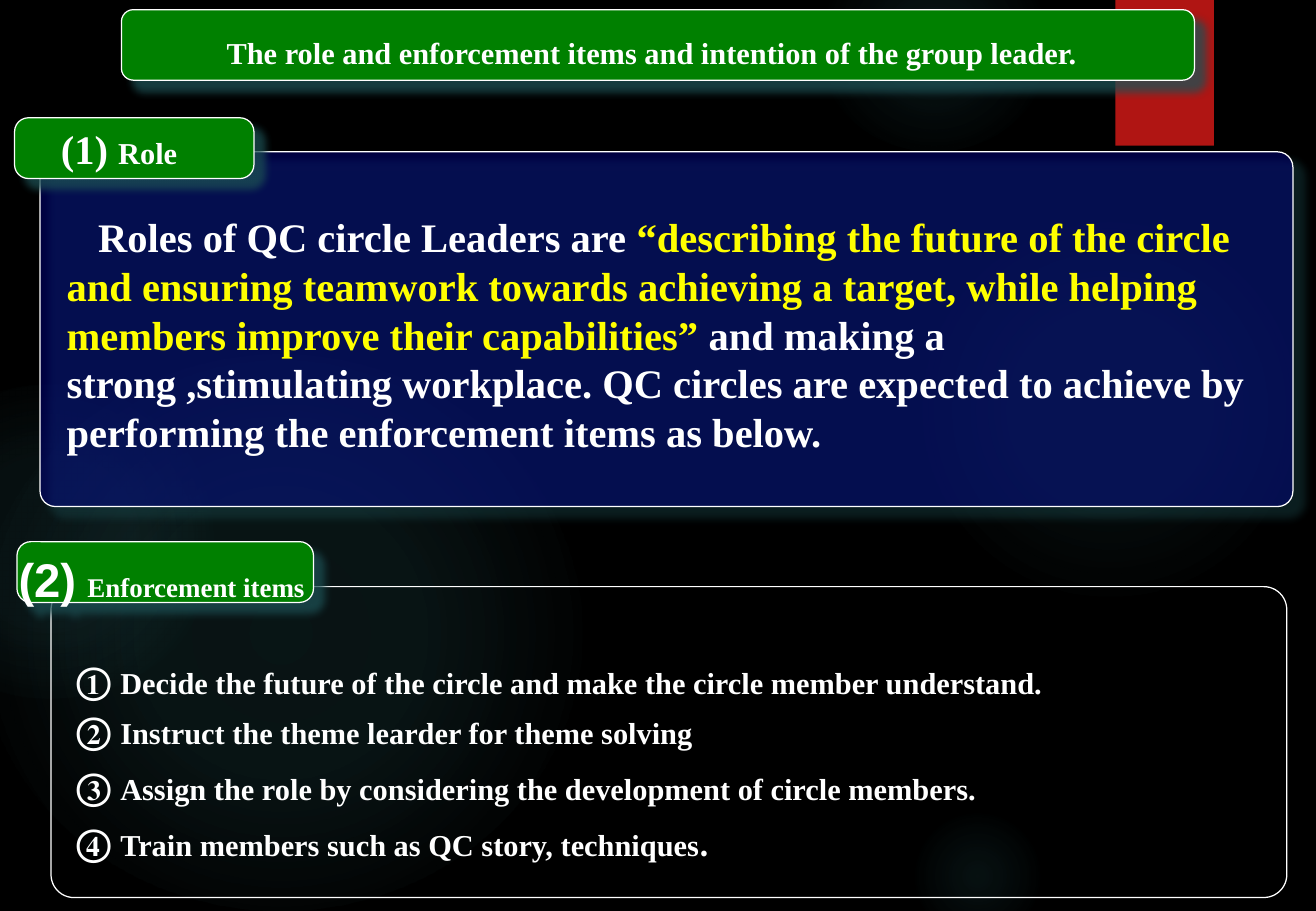
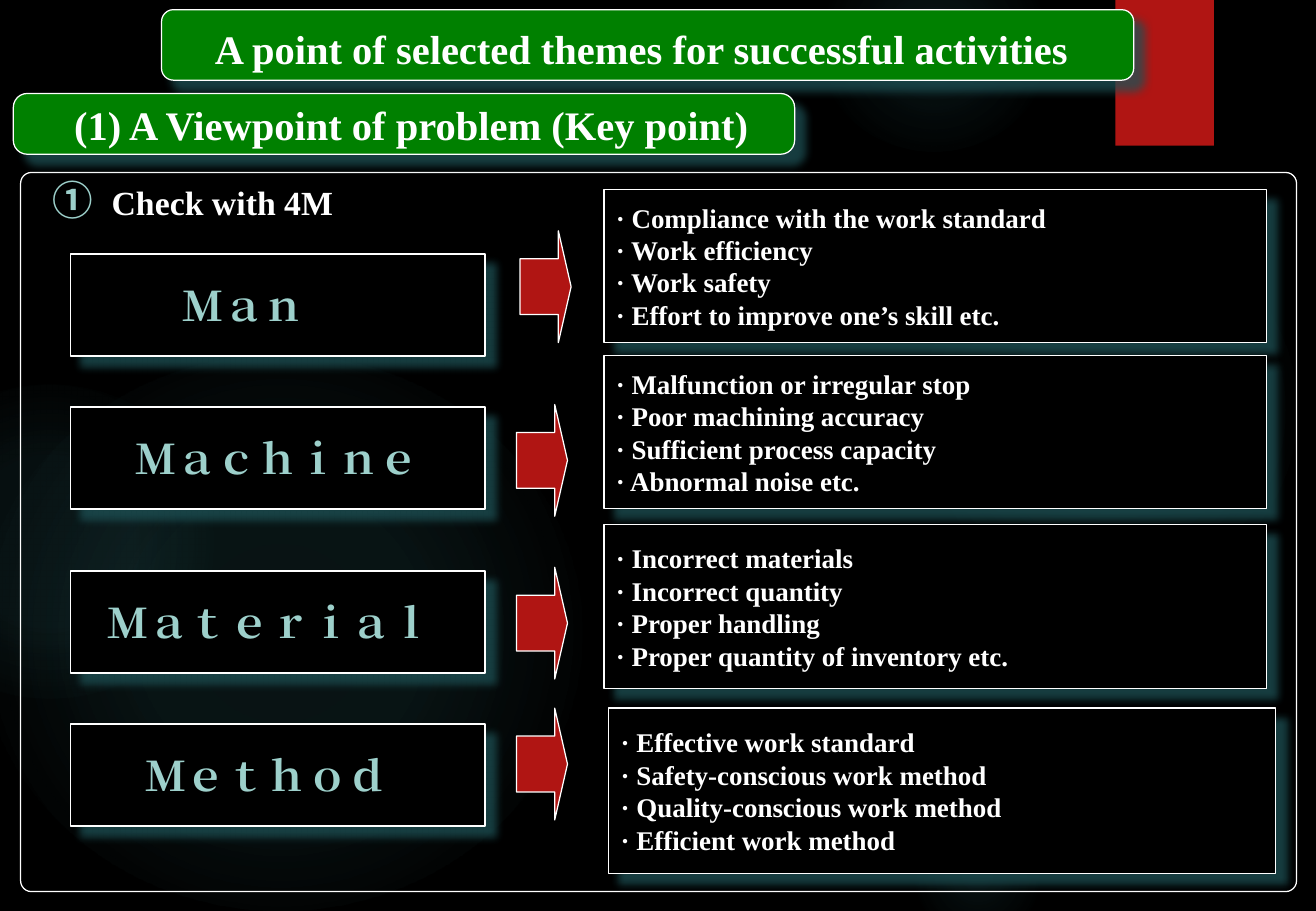
from lxml import etree
from pptx import Presentation
from pptx import util as u
from pptx.dml.color import RGBColor
from pptx.enum import shapes, text
from pptx.oxml import parse_xml
from pptx.oxml.ns import nsdecls, qn

C = {"black": "000000", "white": "FFFFFF", "green": "008000", "navy": "000080",
     "yellow": "FFFF00", "red": "B01513", "aqua": "9DD0CB", "glow": "50B9C1",
     "shadow": "1E5155"}
SERIF, SANS, CJK = "Times New Roman", "Arial", "Noto Sans CJK JP"
KIND = shapes.MSO_SHAPE
ALIGN = text.PP_ALIGN
ANCHOR = text.MSO_ANCHOR

# left, top, width, height, then (position %, opacity %) stops
GLOWS = [
    (7.46, 1.83, 3.34, 3.08, [(0, 7), (36, 6), (69, 0)]),
    (6.74, -0.5, 1.9, 1.75, [(0, 14), (36, 7), (73, 0)]),
    (7.46, 6.67, 1.17, 1.08, [(0, 9), (36, 5), (66, 0)]),
    (-0.18, 2.92, 4.97, 4.58, [(0, 11), (36, 10), (75, 0)]),
    (-0.99, 3.17, 2.8, 2.58, [(0, 8), (36, 8), (72, 0)]),
]


def add_box(s, kind, at, fill=None, line=0.75, adj=(), shadow=False):
    """Add a preset shape; line is its width in points, 0 for none."""
    sp = s.shapes.add_shape(kind, *map(u.Inches, at))
    for i, value in enumerate(adj):
        sp.adjustments[i] = value
    if fill:
        sp.fill.solid()
        sp.fill.fore_color.rgb = RGBColor.from_string(C[fill])
    else:
        sp.fill.background()
    if line:
        sp.line.color.rgb = RGBColor.from_string(C["white"])
        sp.line.width = u.Pt(line)
    else:
        sp.line.fill.background()
    sp.shadow.inherit = False
    if shadow:
        sp._element.spPr.find(qn("a:effectLst")).append(parse_xml(
            f'<a:outerShdw {nsdecls("a")} blurRad="{u.Pt(5)}" dist="{u.Pt(8.5)}" '
            f'dir="2700000" algn="tl" rotWithShape="0"><a:srgbClr val="{C["shadow"]}">'
            '<a:alpha val="75000"/></a:srgbClr></a:outerShdw>'))
    return sp


def write(sp, paras, align=ALIGN.LEFT, anchor=ANCHOR.MIDDLE,
          ins=(0.1, 0.05, 0.1, 0.05), wrap=True, pitch=None):
    """Write paragraphs of (text, size, colour, font) runs; pitch is points per line."""
    tf = sp.text_frame
    tf.word_wrap = wrap
    tf.vertical_anchor = anchor
    tf.margin_left, tf.margin_top, tf.margin_right, tf.margin_bottom = map(u.Inches, ins)
    for i, runs in enumerate(paras):
        p = tf.add_paragraph() if i else tf.paragraphs[0]
        p.alignment = align
        if pitch:
            p.line_spacing = u.Pt(pitch)
        for words, size, color, font in runs:
            r = p.add_run()
            r.text = words
            r.font.size = u.Pt(size)
            r.font.bold = True
            r.font.color.rgb = RGBColor.from_string(C[color])
            r.font.name = font
            etree.SubElement(r.font._element, qn("a:ea"), typeface=font)
    return tf


prs = Presentation()
prs.slide_width, prs.slide_height = u.Inches(10.83), u.Inches(7.5)
master_fill = prs.slide_master.background.fill
master_fill.solid()
master_fill.fore_color.rgb = RGBColor.from_string(C["black"])

# Backdrop and green title shared by both slides: left, width, text, size, top inset
TITLES = [
    (1, 8.83, "The role and enforcement items and intention of the group leader.", 18, 0.17),
    (1.33, 8, "A point of selected themes for successful activities", 24, 0.11),
]
slides = []
for left, width, title, size, top_inset in TITLES:
    s = prs.slides.add_slide(prs.slide_layouts[6])
    slides.append(s)
    for *at, stops in GLOWS:
        glow = add_box(s, KIND.OVAL, at, line=0)
        gs = "".join(f'<a:gs pos="{pos * 1000}"><a:srgbClr val="{C["glow"]}">'
                     f'<a:alpha val="{alpha * 1000}"/></a:srgbClr></a:gs>'
                     for pos, alpha in stops)
        spPr = glow._element.spPr
        spPr.replace(spPr.find(qn("a:noFill")), parse_xml(
            f'<a:gradFill {nsdecls("a")}><a:gsLst>{gs}</a:gsLst><a:path path="circle">'
            '<a:fillToRect l="50000" t="50000" r="50000" b="50000"/></a:path></a:gradFill>'))
    add_box(s, KIND.RECTANGLE, (9.18, 0, 0.81, 1.2), "red", line=0)
    banner = add_box(s, KIND.ROUNDED_RECTANGLE, (left, 0.08, width, 0.58), "green",
                     adj=[0.167], shadow=True)
    write(banner, [[(title, size, "white", SERIF)]], ALIGN.CENTER,
          ins=(0.1, top_inset, 0.2, 0.05), wrap=False)
role_slide, theme_slide = slides

# Panels behind the section labels
role_panel = add_box(role_slide, KIND.ROUNDED_RECTANGLE, (0.33, 1.25, 10.31, 2.92), "navy",
                     adj=[0.043], shadow=True)
navy = role_panel._element.spPr.find(qn("a:solidFill"))[0]
etree.SubElement(navy, qn("a:alpha"), val="50000")
add_box(role_slide, KIND.ROUNDED_RECTANGLE, (0.42, 4.83, 10.17, 2.56), adj=[0.074])
add_box(theme_slide, KIND.ROUNDED_RECTANGLE, (0.17, 1.42, 10.5, 5.92), adj=[0.015])

# Section labels: slide, left, top, width, insets, runs
LABELS = [
    (role_slide, 0.12, 0.97, 1.97, (0.04, 0.05, 0.29, 0.05),
     [("(1) ", 24, "white", SERIF), ("Role", 18, "white", SERIF)]),
    (role_slide, 0.14, 4.46, 2.44, (0, 0.1, 0.06, 0),
     [("(2)", 28, "white", SANS), (" ", 24, "white", SANS),
      ("Enforcement items", 16, "white", SERIF)]),
    (theme_slide, 0.11, 0.77, 6.43, (0.16, 0.05, 0.04, 0.05),
     [("(1) A Viewpoint of problem (Key point)", 24, "white", SERIF)]),
]
for s, left, top, width, ins, runs in LABELS:
    label = add_box(s, KIND.ROUNDED_RECTANGLE, (left, top, width, 0.5), "green",
                    adj=[0.229], shadow=True)
    write(label, [runs], ALIGN.CENTER, ins=ins, wrap=False)

# Slide 1: role statement and enforcement items
role = role_slide.shapes.add_textbox(*map(u.Inches, (0.45, 1.7, 9.96, 2.1)))
tf = write(role, [[
    ("Roles of QC circle Leaders are ", 24, "white", SERIF),
    ("“describing the future of the circle and ensuring teamwork towards achieving "
     "a target, while helping members improve their capabilities”", 24, "yellow", SERIF),
    (" and making a strong ,stimulating workplace. QC circles are expected to achieve by "
     "performing the enforcement items as below.", 24, "white", SERIF),
]], anchor=ANCHOR.TOP, pitch=28.8)
tf.paragraphs[0]._p.get_or_add_pPr().set("indent", str(u.Inches(0.26)))

ITEMS = [
    ("① ", "Decide the future of the circle and make the circle member understand."),
    ("② ", "Instruct the theme learder for theme solving"),
    ("③ ", "Assign the role by considering the development of circle members."),
    ("④ ", "Train members such as QC story, techniques"),
]
paras = [[(number, 22, "white", SERIF), (item, 18, "white", SERIF)] for number, item in ITEMS]
paras[-1].append((".", 18, "white", CJK))
items = role_slide.shapes.add_textbox(*map(u.Inches, (0.53, 5.31, 8.98, 1.9)))
tf = write(items, paras, anchor=ANCHOR.TOP, pitch=30)
for p in tf.paragraphs[2:]:
    p.space_before = u.Pt(3.2)

# Slide 2: the 4M check
check = theme_slide.shapes.add_textbox(*map(u.Inches, (0.33, 1.36, 4.08, 0.57)))
tf = write(check, [[("①\t", 24, "aqua", CJK), ("Check with 4M", 20, "white", SERIF)]])
tabs = etree.SubElement(tf.paragraphs[0]._p.get_or_add_pPr(), qn("a:tabLst"))
etree.SubElement(tabs, qn("a:tab"), pos=str(u.Inches(0.49)), algn="l")

# name, its top, its right inset, arrow left and top, points box, points
ROWS = [
    ("Ｍａｎ", 2.09, 0.66, 4.28, 1.9, (4.97, 1.56, 5.45, 1.26),
     ["Compliance with the work standard", "Work efficiency", "Work safety",
      "Effort to improve one’s skill etc."]),
    ("Ｍａｃｈｉｎｅ", 3.35, 0.1, 4.25, 3.33, (4.97, 2.93, 5.45, 1.26),
     ["Malfunction or irregular stop", "Poor machining accuracy",
      "Sufficient process capacity", "Abnormal noise etc."]),
    ("Ｍａｔｅｒｉａｌ", 4.7, 0.23, 4.25, 4.67, (4.97, 4.32, 5.45, 1.35),
     ["Incorrect materials", "Incorrect quantity", "Proper handling",
      "Proper quantity of inventory etc."]),
    ("Ｍｅｔｈｏｄ", 5.96, 0.28, 4.25, 5.83, (5.01, 5.83, 5.49, 1.36),
     ["Effective work standard", "Safety-conscious work method",
      "Quality-conscious work method", "Efficient work method"]),
]
for name, top, right_inset, arrow_left, arrow_top, points_at, points in ROWS:
    name_box = add_box(theme_slide, KIND.RECTANGLE, (0.58, top, 3.41, 0.84), "black",
                       line=1, shadow=True)
    write(name_box, [[(name, 24, "aqua", SERIF)]], ALIGN.CENTER,
          ins=(0.1, 0.05, right_inset, 0.05))
    points_box = add_box(theme_slide, KIND.RECTANGLE, points_at, "black", shadow=True)
    write(points_box, [[("· " + point, 16, "white", SERIF)] for point in points], pitch=19.2)
    add_box(theme_slide, KIND.RIGHT_ARROW, (arrow_left, arrow_top, 0.42, 0.92), "red",
            adj=[0.5, 0.25])

prs.save("out.pptx")
